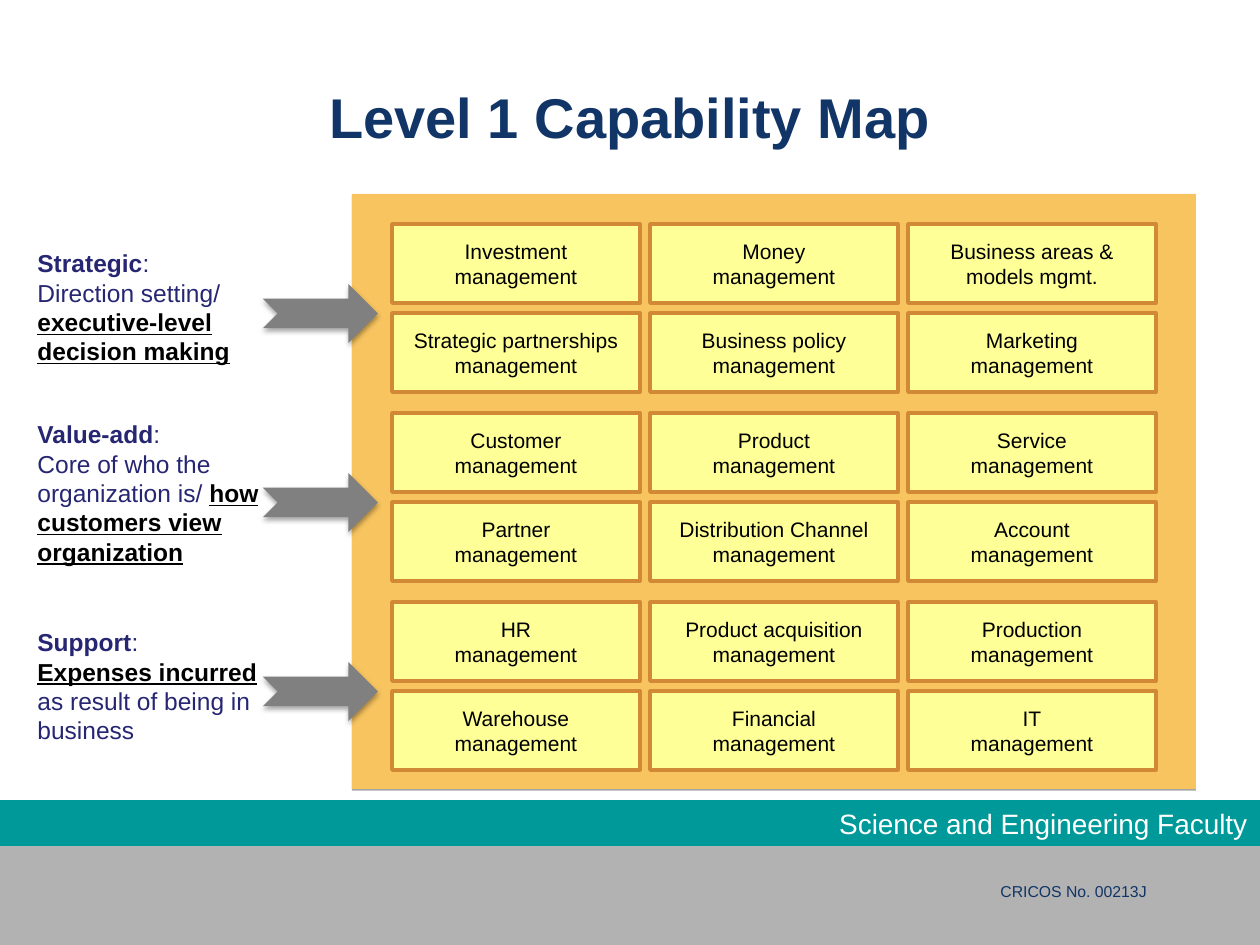
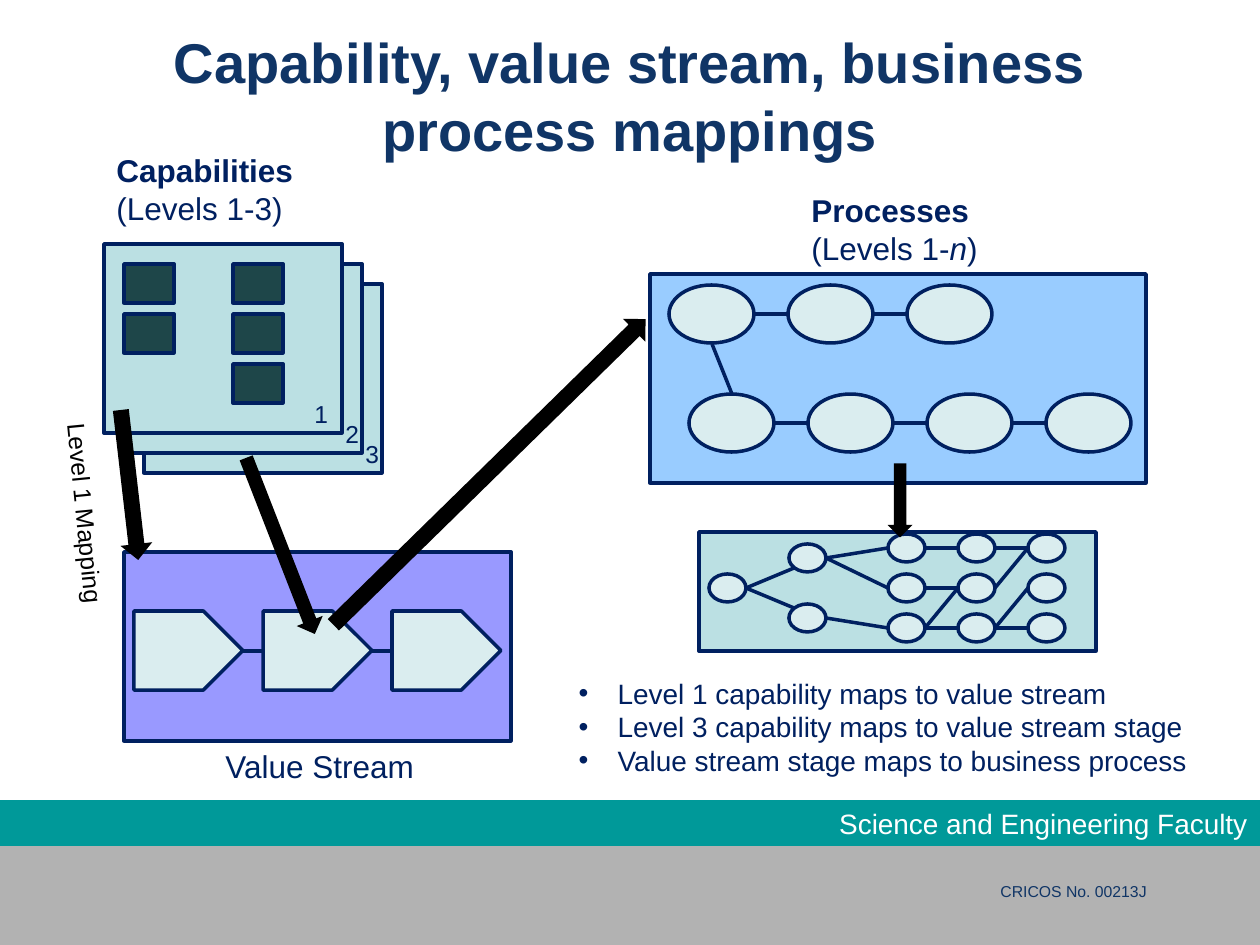
from dataclasses import dataclass
from typing import Any, NamedTuple, Optional

import lxml.etree
import pptx
import pptx.dml.color
import pptx.enum.shapes
import pptx.enum.text
import pptx.oxml.ns
import pptx.util

RGBColor = pptx.dml.color.RGBColor
Shapes = pptx.enum.shapes.MSO_SHAPE
Align = pptx.enum.text.PP_ALIGN
Anchor = pptx.enum.text.MSO_ANCHOR
qn = pptx.oxml.ns.qn

# Scale and shared style
PIXELS_PER_INCH = 126
FONT = "Arial"
WHITE = RGBColor(0xFF, 0xFF, 0xFF)
BLACK = RGBColor(0x00, 0x00, 0x00)
GREY_BAND = RGBColor(0xB2, 0xB2, 0xB2)
TEAL = RGBColor(0x00, 0x99, 0x99)
TITLE_BLUE = RGBColor(0x10, 0x35, 0x66)
NOTE_BLUE = RGBColor(0x26, 0x26, 0x73)
NAVY = RGBColor(0x00, 0x20, 0x60)
PANEL_ORANGE = RGBColor(0xF8, 0xC4, 0x60)
BOX_YELLOW = RGBColor(0xFE, 0xFF, 0x97)
BOX_BORDER = RGBColor(0xD2, 0x89, 0x36)
ARROW_GREY = RGBColor(0x80, 0x80, 0x80)
PALE_TEAL = RGBColor(0xBB, 0xE0, 0xE3)
DARK_TEAL = RGBColor(0x1E, 0x46, 0x49)
PALEST_TEAL = RGBColor(0xDA, 0xED, 0xEF)
VIOLET = RGBColor(0x99, 0x99, 0xFF)
SKY_BLUE = RGBColor(0x99, 0xCC, 0xFF)

BOLD = {"bold": True}
ITALIC = {"italic": True}
STRESSED = {"bold": True, "underline": True}


class Box(NamedTuple):
    left: int
    top: int
    width: int
    height: int


class Run(NamedTuple):
    text: str
    formats: dict[str, Any] = {}
    color: Optional[RGBColor] = None


class Shadow(NamedTuple):
    opacity: int
    blur: float
    distance: float
    angle: int


class Edge(NamedTuple):
    start: str
    end: str
    shift_x: int = 0
    shift_y: int = 0


@dataclass
class Look:
    fill: Optional[RGBColor] = None
    line: Optional[RGBColor] = None
    shadow: Optional[Shadow] = None


@dataclass
class Label:
    box: Box
    paragraphs: list[list[Run]]
    size: int
    color: RGBColor
    wrap: bool = False
    rotation: float = 0


PANEL_LOOK = Look(PANEL_ORANGE, shadow=Shadow(35, 0, 1, 90))
ARROW_LOOK = Look(ARROW_GREY, shadow=Shadow(35, 3.1, 1.8, 90))
CAPABILITY_LOOK = Look(BOX_YELLOW, BOX_BORDER)
NODE_LOOK = Look(PALEST_TEAL, NAVY)
CARD_LOOK = Look(PALE_TEAL, NAVY)


def px(length: float) -> int:
    return pptx.util.Inches(length / PIXELS_PER_INCH)


def place(shape: Any, box: Box) -> None:
    for name, value in box._asdict().items():
        setattr(shape, name, px(value))


def write(frame: Any, paragraphs: list[list[Run]], size: int, color: RGBColor,
          align: Align = Align.LEFT) -> None:
    for index, runs in enumerate(paragraphs):
        paragraph = frame.paragraphs[0] if index == 0 else frame.add_paragraph()
        paragraph.alignment = align
        paragraph.space_before = pptx.util.Pt(0)
        for part in runs:
            run = paragraph.add_run()
            run.text = part.text
            values = {"name": FONT, "size": pptx.util.Pt(size), **part.formats}
            for name, value in values.items():
                setattr(run.font, name, value)
            run.font.color.rgb = part.color or color


def add_label(slide: Any, label: Label) -> None:
    shape = slide.shapes.add_textbox(*map(px, label.box))
    shape.rotation = label.rotation
    shape.text_frame.word_wrap = label.wrap
    write(shape.text_frame, label.paragraphs, label.size, label.color)


def add_figure(slide: Any, kind: Shapes, box: Box, look: Look, rotation: float = 0) -> Any:
    shape = slide.shapes.add_shape(kind, *map(px, box))
    shape.rotation = rotation
    shape.shadow.inherit = False
    shape.fill.solid()
    shape.fill.fore_color.rgb = look.fill
    if look.line is None:
        shape.line.fill.background()
    else:
        shape.line.color.rgb = look.line
        shape.line.width = pptx.util.Pt(2)
    if look.shadow:
        effects = shape._element.spPr.find(qn("a:effectLst"))
        outer = lxml.etree.SubElement(
            effects, qn("a:outerShdw"), blurRad=str(pptx.util.Pt(look.shadow.blur)),
            dist=str(pptx.util.Pt(look.shadow.distance)), dir=str(look.shadow.angle * 60000),
            rotWithShape="0")
        color = lxml.etree.SubElement(outer, qn("a:srgbClr"), val=str(BLACK))
        lxml.etree.SubElement(color, qn("a:alpha"), val=str(look.shadow.opacity * 1000))
    return shape


def add_line(slide: Any, *ends: int) -> None:
    line = slide.shapes.add_connector(pptx.enum.shapes.MSO_CONNECTOR.STRAIGHT, *map(px, ends))
    line.line.color.rgb = NAVY
    line.line.width = pptx.util.Pt(2)
    lxml.etree.SubElement(line._element.spPr, qn("a:effectLst"))


def add_base_slide(presentation: Any, layout: int, title: str, title_top: int) -> Any:
    """Add a slide with its title and the faculty footer."""
    slide = presentation.slides.add_slide(presentation.slide_layouts[layout])
    heading = slide.shapes.title
    place(heading, Box(63, title_top, 1134, 158))
    frame = heading.text_frame
    frame.auto_size = pptx.enum.text.MSO_AUTO_SIZE.NONE
    frame.vertical_anchor = Anchor.MIDDLE
    write(frame, [[Run(title, BOLD)]], 32, TITLE_BLUE, Align.CENTER)

    add_figure(slide, Shapes.RECTANGLE, Box(0, 830, 1260, 115), Look(GREY_BAND))
    band = add_figure(slide, Shapes.RECTANGLE, Box(0, 800, 1260, 46), Look(TEAL))
    write(band.text_frame, [[Run("Science and Engineering Faculty")]], 16, WHITE, Align.RIGHT)
    add_label(slide, Label(Box(988, 876, 171, 32), [[Run("CRICOS No. 00213J")]], 9, TITLE_BLUE))
    return slide


def build_capability_map(presentation: Any) -> None:
    slide = add_base_slide(presentation, 5, "Level 1 Capability Map", 37)
    add_figure(slide, Shapes.RECTANGLE, Box(352, 194, 844, 595), PANEL_LOOK)

    # Capability grid: three groups of two rows
    rows = [
        ("Investment management", "Money", "Business areas & models mgmt."),
        ("Strategic partnerships management", "Business policy", "Marketing"),
        ("Customer", "Product", "Service"),
        ("Partner", "Distribution Channel management", "Account"),
        ("HR", "Product acquisition", "Production"),
        ("Warehouse", "Financial", "IT"),
    ]
    group_pitch = 189
    for index, row in enumerate(rows):
        group, line = divmod(index, 2)
        for column, name in enumerate(row):
            box = Box(392 + 258 * column, 224 + group_pitch * group + 89 * line, 248, 79)
            shape = add_figure(slide, Shapes.RECTANGLE, box, CAPABILITY_LOOK)
            complete = name.endswith(("management", "mgmt."))
            lines = [name] if complete else [name, "management"]
            write(shape.text_frame, [[Run(text)] for text in lines], 12, BLACK, Align.CENTER)

    # Group descriptions and arrows
    notes = [
        (242, 131, "Strategic", [
            [Run("Direction setting/ "), Run("executive-level", STRESSED, BLACK)],
            [Run("decision making", STRESSED, BLACK)]]),
        (413, 161, "Value-add", [
            [Run("Core of who the organization is/ "),
             Run("how customers view organization", STRESSED, BLACK)]]),
        (621, 131, "Support", [
            [Run("Expenses incurred", STRESSED, BLACK)],
            [Run("as result of being in business")]]),
    ]
    for index, (top, height, name, details) in enumerate(notes):
        paragraphs = [[Run(name, BOLD), Run(":")], *details]
        add_label(slide, Label(Box(25, top, 297, height), paragraphs, 14, NOTE_BLUE, True))
        add_figure(slide, Shapes.NOTCHED_RIGHT_ARROW,
                   Box(263, 284 + group_pitch * index, 115, 59), ARROW_LOOK)


def add_process_network(slide: Any) -> None:
    """Draw the detailed process nodes and the edges between them."""
    width, height = 37, 28
    nodes = {"start": (709, 574), "upper": (789, 544), "lower": (789, 604)}
    for column, letter in enumerate("abc"):
        for row in range(3):
            nodes[f"{letter}{row}"] = (888 + 70 * column, 534 + 40 * row)
    edges = [
        Edge("start", "upper", 5, 10), Edge("start", "lower", 5, -10),
        Edge("upper", "a1"), Edge("upper", "a0"), Edge("lower", "a2"),
        Edge("a0", "b0"), Edge("a1", "b1"), Edge("a2", "b2"), Edge("a2", "b1"),
        Edge("b0", "c0"), Edge("b1", "c0"), Edge("b2", "c1"), Edge("b2", "c2"),
    ]
    for left, top in nodes.values():
        add_figure(slide, Shapes.OVAL, Box(left, top, width, height), NODE_LOOK)
    for edge in edges:
        (start_x, start_y), (end_x, end_y) = nodes[edge.start], nodes[edge.end]
        add_line(slide, start_x + width, start_y + height // 2,
                 end_x + edge.shift_x, end_y + height // 2 + edge.shift_y)


def build_mappings(presentation: Any) -> None:
    slide = add_base_slide(
        presentation, 1, "Capability, value stream, business process mappings", 16)

    # Capability cards, back to front, and the containers
    for step in (2, 1, 0):
        add_figure(slide, Shapes.RECTANGLE,
                   Box(104 + 20 * step, 244 + 20 * step, 238, 189), CARD_LOOK)
    for box, fill in ((Box(124, 552, 387, 189), VIOLET), (Box(650, 274, 496, 209), SKY_BLUE),
                      (Box(699, 532, 397, 119), PALE_TEAL)):
        add_figure(slide, Shapes.RECTANGLE, box, Look(fill, NAVY))
    for index, left in enumerate((302, 333, 353)):
        add_label(slide, Label(Box(left, 393 + 20 * index, 39, 43),
                               [[Run(str(index + 1))]], 14, NAVY))
    for left, count in ((124, 2), (233, 3)):
        for row in range(count):
            add_figure(slide, Shapes.RECTANGLE, Box(left, 264 + 50 * row, 50, 39),
                       Look(DARK_TEAL, NAVY))

    # Value stream stages
    add_line(slide, 243, 651, 501, 651)
    for stage in range(3):
        add_figure(slide, Shapes.PENTAGON, Box(134 + 129 * stage, 611, 109, 79), NODE_LOOK)

    # Process chain
    for ends in ((740, 314, 983, 314), (774, 423, 1047, 423), (712, 344, 732, 394)):
        add_line(slide, *ends)
    for left, top, count in ((669, 285, 3), (689, 394, 4)):
        for column in range(count):
            add_figure(slide, Shapes.OVAL, Box(left + 119 * column, top, 85, 58), NODE_LOOK)
    add_process_network(slide)

    # Captions
    captions = [
        Label(Box(213, 741, 218, 50), [[Run("Value Stream")]], 18, NAVY),
        Label(Box(799, 185, 193, 89), [
            [Run("Processes", BOLD)],
            [Run("(Levels 1-"), Run("n", ITALIC), Run(")")]], 18, NAVY),
        Label(Box(104, 145, 204, 89),
              [[Run("Capabilities", BOLD)], [Run("(Levels 1-3)")]], 18, NAVY),
        Label(Box(-18, 492, 206, 43), [[Run("Level 1 Mapping")]], 14, BLACK, rotation=84.4),
    ]
    for label in captions:
        add_label(slide, label)

    # Mapping arrows
    for box, rotation in ((Box(863, 488, 74, 25), 90), (Box(271, 456, 437, 32), 315.6),
                          (Box(54, 469, 151, 32), 83.4), (Box(186, 532, 189, 28), 68.7)):
        add_figure(slide, Shapes.RIGHT_ARROW, box, Look(BLACK), rotation)

    # Mapping rules
    body = slide.placeholders[1]
    place(body, Box(566, 670, 694, 115))
    body.text_frame.auto_size = pptx.enum.text.MSO_AUTO_SIZE.NONE
    rules = ["Level 1 capability maps to value stream",
             "Level 3 capability maps to value stream stage",
             "Value stream stage maps to business process"]
    write(body.text_frame, [[Run(rule)] for rule in rules], 16, NAVY)
    for paragraph in body.text_frame.paragraphs:
        properties = paragraph._p.get_or_add_pPr()
        properties.set("marL", str(px(39)))
        properties.set("indent", str(-px(39)))
        lxml.etree.SubElement(properties, qn("a:buChar"), char="•")


def main() -> None:
    presentation = pptx.Presentation()
    presentation.slide_width = px(1260)
    presentation.slide_height = px(945)
    build_capability_map(presentation)
    build_mappings(presentation)
    presentation.save("out.pptx")


if __name__ == "__main__":
    main()
